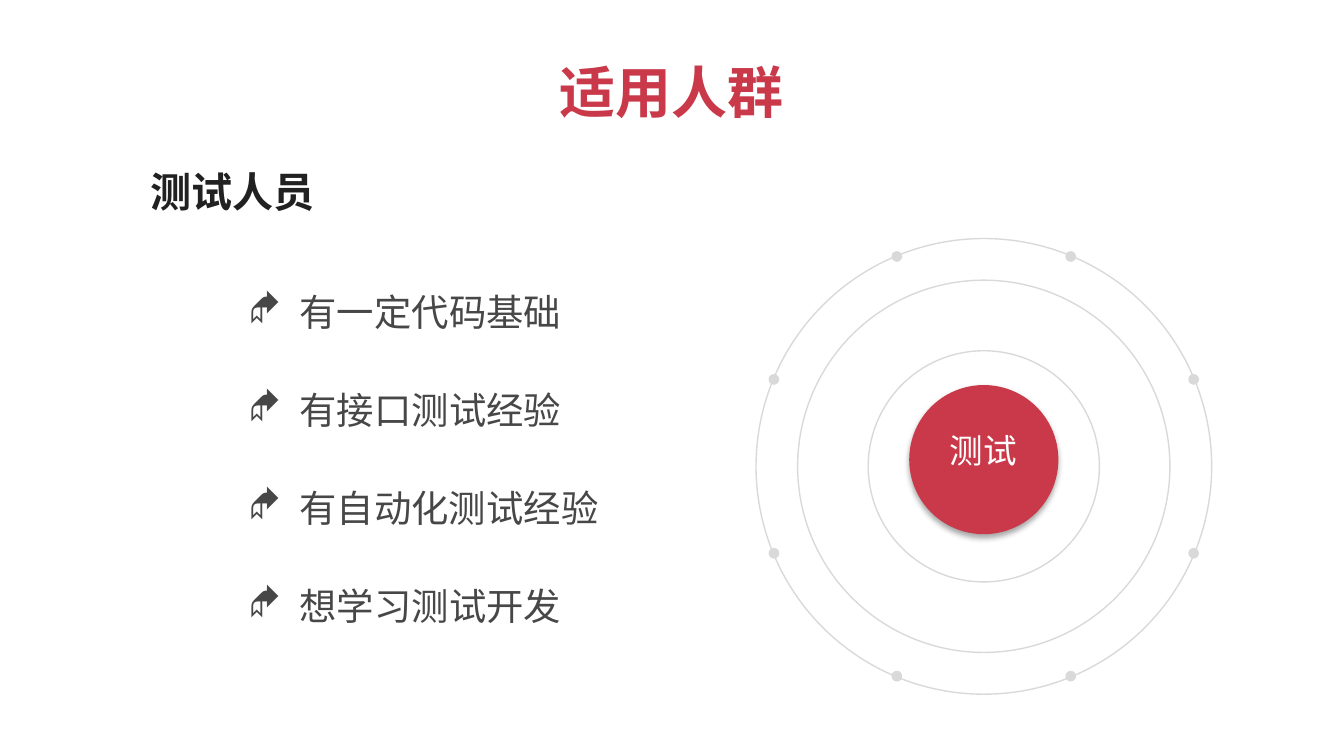
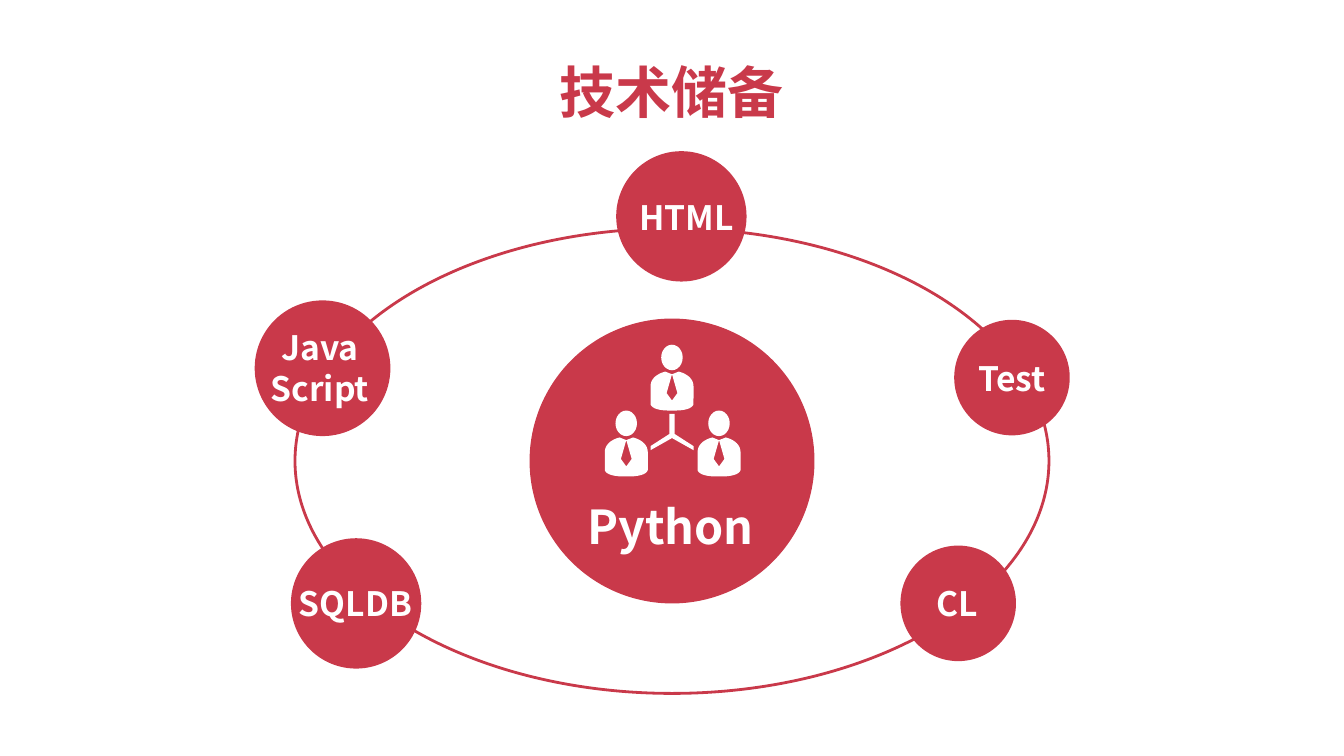
from dataclasses import dataclass
from math import cos, radians, sin

from lxml import etree
from pptx import Presentation
from pptx import util as u
from pptx.dml.color import RGBColor
from pptx.enum import shapes, text
from pptx.oxml import ns

ALIGN, ANCHOR = text.PP_ALIGN, text.MSO_ANCHOR


@dataclass(frozen=True)
class Theme:
    red: str = "C9394A"
    grey: str = "D9D9D9"
    white: str = "FFFFFF"
    heading: str = "212121"
    body: str = "474747"
    font: str = "Noto Sans CJK SC"
    font_badge: str = "Cabin"
    font_bullet: str = "Wingdings"
    title_size: int = 30
    core_size: int = 25
    heading_size: int = 22
    bullet_size: int = 20
    label_size: int = 18
    ring_width: float = 0.75
    orbit_width: float = 1.5


def add_xml(parent, tag, **attrs):
    return etree.SubElement(parent, ns.qn(tag), attrs)


def bezier(p0, p1, p2, p3, steps=10):
    """Points along a cubic curve, without its start."""
    points = []
    for i in range(1, steps + 1):
        t = i / steps
        weights = ((1 - t) ** 3, 3 * t * (1 - t) ** 2, 3 * t * t * (1 - t), t ** 3)
        points.append(tuple(sum(w * p[axis] for w, p in zip(weights, (p0, p1, p2, p3)))
                            for axis in (0, 1)))
    return points


class Deck:
    def __init__(self, theme):
        self.theme = theme
        self.prs = Presentation()
        self.prs.slide_width = u.Inches(10)
        self.prs.slide_height = u.Inches(10 * 9 / 16)
        self.s = None

    def slide(self, title):
        self.s = self.prs.slides.add_slide(self.prs.slide_layouts[6])
        self.text((4.11, 0.38, 1.78, 0.61), title, self.theme.title_size,
                  self.theme.red, bold=True)

    def paint(self, sp, fill=None, line=None, width=1.0):
        sp.shadow.inherit = False
        if fill:
            sp.fill.solid()
            sp.fill.fore_color.rgb = RGBColor.from_string(fill)
        else:
            sp.fill.background()
        if line:
            sp.line.color.rgb = RGBColor.from_string(line)
            sp.line.width = u.Pt(width)
        else:
            sp.line.fill.background()

    def oval(self, cx, cy, w, h=None, **style):
        """Ellipse placed by its centre; a circle when h is left out."""
        h = h or w
        box = (cx - w / 2, cy - h / 2, w, h)
        sp = self.s.shapes.add_shape(shapes.MSO_SHAPE.OVAL, *map(u.Inches, box))
        self.paint(sp, **style)
        return sp

    def polygon(self, points, fill):
        (x, y), *rest = [(u.Inches(x), u.Inches(y)) for x, y in points]
        builder = self.s.shapes.build_freeform(x, y)
        builder.add_line_segments(rest, close=True)
        self.paint(builder.convert_to_shape(), fill)

    def drop_shadow(self, sp, blur, dist, opacity):
        """Soft black shadow falling straight down; blur and dist in points."""
        effects = sp._element.spPr.find(ns.qn("a:effectLst"))
        shadow = add_xml(effects, "a:outerShdw", blurRad=str(u.Pt(blur)),
                         dist=str(u.Pt(dist)), dir="5400000", rotWithShape="0")
        color = add_xml(shadow, "a:srgbClr", val="000000")
        add_xml(color, "a:alpha", val=str(opacity * 1000))

    def text(self, box, content, size, color, bold=False, font=None, inset=0.05,
             wrap=False, align=ALIGN.LEFT, anchor=ANCHOR.TOP, before=0):
        sp = self.s.shapes.add_textbox(*map(u.Inches, box))
        tf = sp.text_frame
        tf.word_wrap, tf.vertical_anchor = wrap, anchor
        tf.auto_size = text.MSO_AUTO_SIZE.SHAPE_TO_FIT_TEXT
        tf.margin_left = tf.margin_right = u.Inches(inset)
        tf.margin_top = tf.margin_bottom = u.Inches(inset)
        tf.text = content
        for p in tf.paragraphs:
            p.alignment = align
            if before:
                p.space_before = u.Pt(before)
            for r in p.runs:
                r.font.size, r.font.bold = u.Pt(size), bold
                r.font.name = font or self.theme.font
                r.font.color.rgb = RGBColor.from_string(color)
                add_xml(r._r.get_or_add_rPr(), "a:ea", typeface=r.font.name)
        return tf

    def bullet(self, x, y, w, content):
        tf = self.text((x, y, w, 0.44), content, self.theme.bullet_size, self.theme.body)
        tf.margin_left = tf.margin_right = u.Inches(0.1)
        p = tf.paragraphs[0]
        p.level = 1
        pPr = p._p.get_or_add_pPr()
        pPr.set("marL", str(u.Inches(0.88)))
        pPr.set("indent", str(-u.Inches(0.38)))
        add_xml(pPr, "a:buFont", typeface=self.theme.font_bullet, charset="2")
        add_xml(pPr, "a:buChar", char="◆")

    def node(self, cx, cy, size, label, label_box):
        self.oval(cx, cy, size, fill=self.theme.red)
        self.text(label_box, label, self.theme.label_size, self.theme.white, bold=True,
                  inset=0, wrap=True, align=ALIGN.CENTER, anchor=ANCHOR.MIDDLE)

    def person(self, cx, top):
        """Head and a suit whose tie is cut out of the body."""
        self.oval(cx, top + 0.1, 0.16, 0.19, fill=self.theme.white)
        right = [(0, 0.215), (0.04, 0.16), (0, 0.02), (0.05, 0)]
        right += bezier((0.05, 0), (0.09, 0.01), (0.16, 0.04), (0.16, 0.11))
        right += bezier((0.16, 0.24), (0.16, 0.24), (0.16, 0.29), (0.02, 0.29))
        outline = right + [(-x, y) for x, y in reversed(right)]
        self.polygon([(cx + x, top + 0.205 + y) for x, y in outline], self.theme.white)


def audience_slide(deck):
    t = deck.theme
    deck.slide("适用人群")
    cx, cy = 7.32, 3.47
    for diameter in (3.39, 2.77, 1.72):
        deck.oval(cx, cy, diameter, line=t.grey, width=t.ring_width)
    for k in range(8):
        angle = radians(22.5 + 45 * k)
        deck.oval(cx + 1.69 * cos(angle), cy + 1.69 * sin(angle), 0.08, fill=t.grey)
    badge = deck.oval(cx, 3.42, 1.11, fill=t.red)
    deck.drop_shadow(badge, blur=3, dist=1.8, opacity=35)
    deck.text((7.01, 3.15, 0.61, 0.45), "测试", t.label_size, t.white,
              font=t.font_badge, align=ALIGN.CENTER)

    skills = ["有一定代码基础", "有接口测试经验", "有自动化测试经验", "想学习测试开发"]
    for i, skill in enumerate(skills):
        deck.bullet(1.25, 2.1 + 0.73 * i, 1.09 + 0.28 * len(skill), skill)
    deck.text((1.07, 1.19, 1.34, 0.47), "测试人员", t.heading_size, t.heading,
              bold=True, before=5)


def skills_slide(deck):
    t = deck.theme
    deck.slide("技术储备")
    cx, cy = 5, 3.43
    deck.oval(cx, cy, 2.12, fill=t.red)
    for x, top in ((cx, 2.56), (cx - 0.34, 3.05), (cx + 0.35, 3.05)):
        deck.person(x, top)
    right = [(0.02, 3.08), (0.02, 3.23), (0.16, 3.32), (0.16, 3.35)]
    left = [(-x, y) for x, y in reversed(right)]
    deck.polygon([(cx + x, y) for x, y in right + [(0, 3.26)] + left], t.white)

    deck.oval(cx, cy, 5.61, 3.46, line=t.red, width=t.orbit_width)
    for node in (
        (5.07, 1.61, 0.97, "HTML", (4.72, 1.46, 0.78, 0.31)),
        (2.4, 2.74, 1.01, "Java\nScript", (1.93, 2.43, 0.9, 0.61)),
        (7.13, 4.49, 0.86, "CL", (6.82, 4.33, 0.6, 0.31)),
        (7.53, 2.81, 0.86, "Test", (7.23, 2.66, 0.6, 0.31)),
        (2.65, 4.49, 0.97, "SQLDB", (2.17, 4.33, 0.95, 0.31)),
    ):
        deck.node(*node)
    deck.text((4.32, 2.78, 1.38, 1.39), "Python", t.core_size, t.white, bold=True,
              wrap=True, anchor=ANCHOR.BOTTOM)


def main():
    deck = Deck(Theme())
    audience_slide(deck)
    skills_slide(deck)
    deck.prs.save("out.pptx")


if __name__ == "__main__":
    main()
